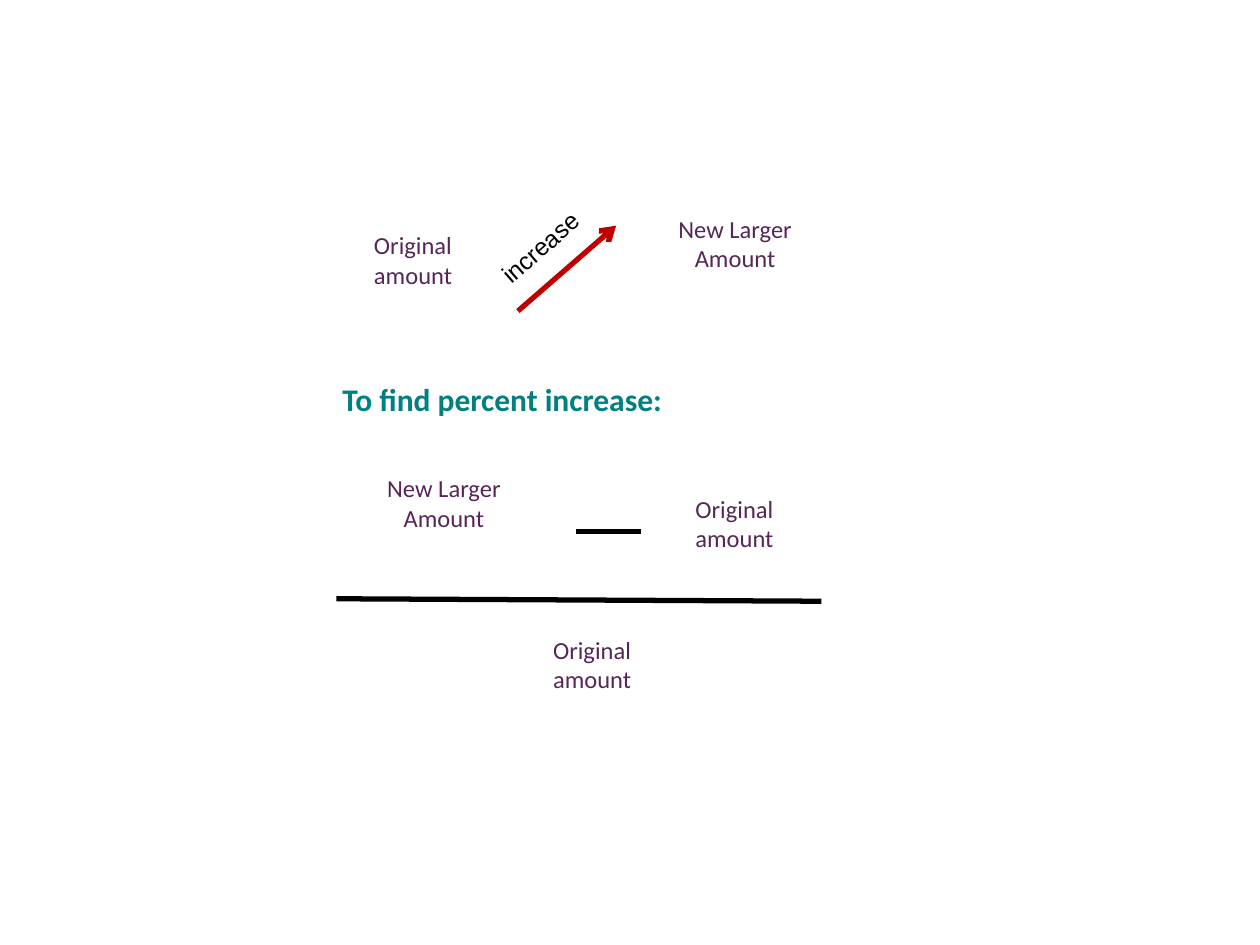
from pptx import Presentation
from pptx.dml.color import RGBColor
from pptx.enum.shapes import MSO_CONNECTOR as Conn
from pptx.enum.text import MSO_ANCHOR as Anchor, MSO_AUTO_SIZE as AutoSize, PP_ALIGN as Align
from pptx.oxml.ns import qn
from pptx.util import Cm, Pt
from lxml import etree

BLACK = RGBColor(0x00, 0x00, 0x00)
RED = RGBColor(0xC0, 0x00, 0x00)
PURPLE = RGBColor(0x55, 0x26, 0x56)
TEAL = RGBColor(0x00, 0x80, 0x80)


class Slide:
    """Style and current slide, with one method per kind of element."""

    amount = {"name": "Calibri", "size": Pt(14)}
    label = {"name": "Arial", "size": Pt(14)}
    heading = {"name": "Calibri", "size": Pt(18), "bold": True}

    def __init__(self, prs):
        self.s = prs.slides.add_slide(prs.slide_layouts[5])

    def fill_text(self, sp, lines, font, color, align, wrap):
        tf = sp.text_frame
        frame = {"word_wrap": wrap, "auto_size": AutoSize.SHAPE_TO_FIT_TEXT,
                 "vertical_anchor": Anchor.TOP}
        for key, value in frame.items():
            setattr(tf, key, value)
        for i, line in enumerate(lines):
            p = tf.add_paragraph() if i else tf.paragraphs[0]
            p.alignment = align
            r = p.add_run()
            r.text = line
            for key, value in font.items():
                setattr(r.font, key, value)
            r.font.color.rgb = color

    def title(self, text, x, y, w, h):
        sp = self.s.shapes.title
        for key, value in zip(("left", "top", "width", "height"), (x, y, w, h)):
            setattr(sp, key, Cm(value))
        self.fill_text(sp, [text], self.heading, TEAL, Align.LEFT, True)

    def text(self, lines, x, y, w, h, font, color, align=Align.LEFT, rotation=0):
        sp = self.s.shapes.add_textbox(Cm(x), Cm(y), Cm(w), Cm(h))
        sp.rotation = rotation
        self.fill_text(sp, lines, font, color, align, False)

    def original(self, x, y):
        self.text(["Original", "amount"], x, y, 2.11, 1.45, self.amount, PURPLE)

    def new_larger(self, x, y):
        self.text(["New Larger", "Amount"], x, y, 2.82, 1.45, self.amount, PURPLE, Align.CENTER)

    def line(self, x1, y1, x2, y2, color=BLACK, arrow=False):
        cxn = self.s.shapes.add_connector(Conn.STRAIGHT, Cm(x1), Cm(y1), Cm(x2), Cm(y2))
        cxn.line.color.rgb = color
        cxn.line.width = Pt(3)
        if arrow:
            etree.SubElement(cxn.line._get_or_add_ln(), qn("a:tailEnd"), type="arrow")
        etree.SubElement(cxn._element.spPr, qn("a:effectLst"))


def main():
    prs = Presentation()
    prs.slide_width, prs.slide_height = Cm(25.4), Cm(19.05)
    slide = Slide(prs)
    slide.title("To find percent increase:", 6.65, 7.54, 9.7, 1.02)

    slide.line(10.44, 6.27, 12.42, 4.55, RED, arrow=True)
    slide.text(["increase"], 9.7, 4.55, 2.39, 0.86, slide.label, BLACK, rotation=318.8)
    slide.original(7.29, 4.52)
    slide.new_larger(13.41, 4.19)

    slide.new_larger(7.54, 9.42)
    slide.line(11.61, 10.72, 12.93, 10.72)
    slide.original(13.77, 9.83)
    slide.line(6.78, 12.07, 16.56, 12.12)
    slide.original(10.9, 12.67)
    prs.save("out.pptx")


if __name__ == "__main__":
    main()
